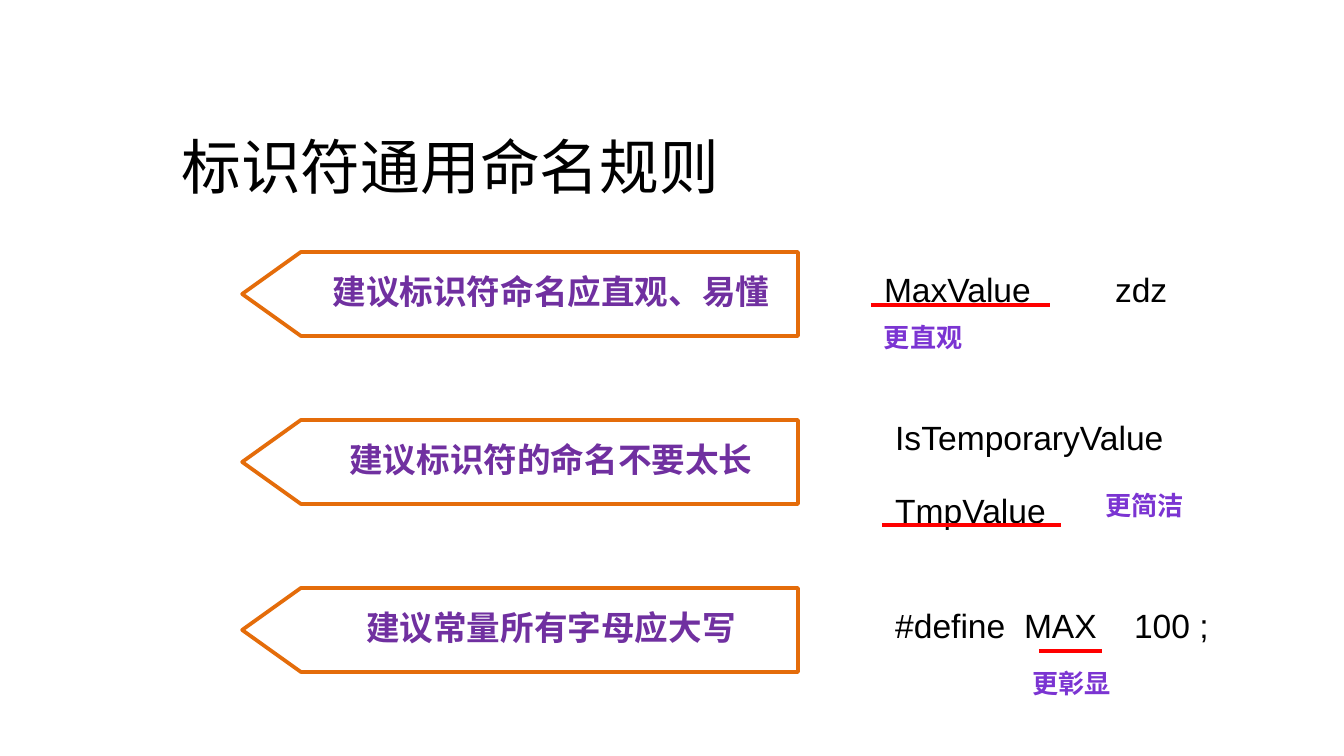
from lxml import etree
from pptx import Presentation
from pptx import util as u
from pptx.dml.color import RGBColor
from pptx.enum import shapes, text
from pptx.oxml.ns import qn

PX = 9525  # EMU per pixel, 96 pixels to the inch


def color(value):
    return RGBColor.from_string(value)


class SlideBuilder:
    BLACK, PURPLE, VIOLET = "000000", "7030A0", "7B34D2"
    ORANGE, RED = "E46C0A", "FF0000"
    HEADING_FONT, BODY_FONT = "Calibri", "Arial"

    def __init__(self, slide):
        self.slide = slide

    def set_text(self, shape, content, size, font, fill, bold=False):
        shape.text_frame.text = content
        paragraph = shape.text_frame.paragraphs[0]
        for run in paragraph.runs:
            run.font.size = u.Pt(size)
            run.font.name = font
            run.font.bold = bold
            run.font.color.rgb = color(fill)
        return paragraph

    def title(self, content, left, top, width, height):
        shape = self.slide.shapes.title
        shape.left, shape.top = left * PX, top * PX
        shape.width, shape.height = width * PX, height * PX
        paragraph = self.set_text(shape, content, 32, self.HEADING_FONT, self.BLACK)
        paragraph.alignment = text.PP_ALIGN.LEFT

    def rule_arrow(self, content, top):
        left, shoulder, right, height = 173, 215, 570, 60
        bottom = top + height
        builder = self.slide.shapes.build_freeform(right, bottom, scale=PX)
        builder.add_line_segments([(shoulder, bottom), (left, top + height // 2),
                                   (shoulder, top), (right, top)], close=True)
        shape = builder.convert_to_shape()
        shape.shadow.inherit = False
        shape.fill.background()
        shape.line.color.rgb = color(self.ORANGE)
        shape.line.width = u.Pt(2)
        paragraph = self.set_text(shape, content, 18, self.HEADING_FONT, self.PURPLE, True)
        paragraph.alignment = text.PP_ALIGN.CENTER
        paragraph.line_spacing = 0.9
        frame = shape.text_frame
        frame.word_wrap = True
        frame.vertical_anchor = text.MSO_ANCHOR.MIDDLE
        frame.margin_left, frame.margin_right = 59 * PX, 15 * PX
        frame.margin_top = frame.margin_bottom = 9 * PX

    def label(self, content, left, top, width, height, size, fill, bold):
        shape = self.slide.shapes.add_textbox(left * PX, top * PX, width * PX, height * PX)
        shape.text_frame.word_wrap = True
        self.set_text(shape, content, size, self.BODY_FONT, fill, bold)

    def code(self, content, left, top, width):
        self.label(content, left, top, width, 38, 18, self.BLACK, False)

    def remark(self, content, left, top, width):
        self.label(content, left, top, width, 33, 14, self.VIOLET, True)

    def underline(self, left, top, width):
        line = self.slide.shapes.add_connector(
            shapes.MSO_CONNECTOR.STRAIGHT,
            left * PX, top * PX, (left + width) * PX, top * PX)
        line.line.color.rgb = color(self.RED)
        line.line.width = u.Pt(2.5)
        etree.SubElement(line._element.spPr, qn("a:effectLst"))


def main():
    presentation = Presentation()
    presentation.slide_width = 960 * PX
    presentation.slide_height = 540 * PX
    slide = presentation.slides.add_slide(presentation.slide_layouts[5])
    builder = SlideBuilder(slide)

    builder.title("标识符通用命名规则", 120, 86, 584, 64)

    # Naming rules
    rules = ["建议标识符命名应直观、易懂", "建议标识符的命名不要太长", "建议常量所有字母应大写"]
    for index, rule in enumerate(rules):
        builder.rule_arrow(rule, 180 + 120 * index)

    # Example identifiers
    for example in [("MaxValue", 622, 187, 137),
                    ("zdz", 787, 187, 67),
                    ("IsTemporaryValue", 630, 293, 218),
                    ("TmpValue", 630, 345, 195),
                    ("#define  MAX    100 ;", 630, 427, 274)]:
        builder.code(*example)

    # Underlines of the preferred names
    for underline in [(622, 218, 128), (630, 375, 128), (742, 465, 45)]:
        builder.underline(*underline)

    # Why each name is preferred
    for remark in [("更直观", 622, 225, 135),
                   ("更简洁", 780, 345, 83),
                   ("更彰显", 728, 472, 90)]:
        builder.remark(*remark)

    presentation.save("out.pptx")


if __name__ == "__main__":
    main()
